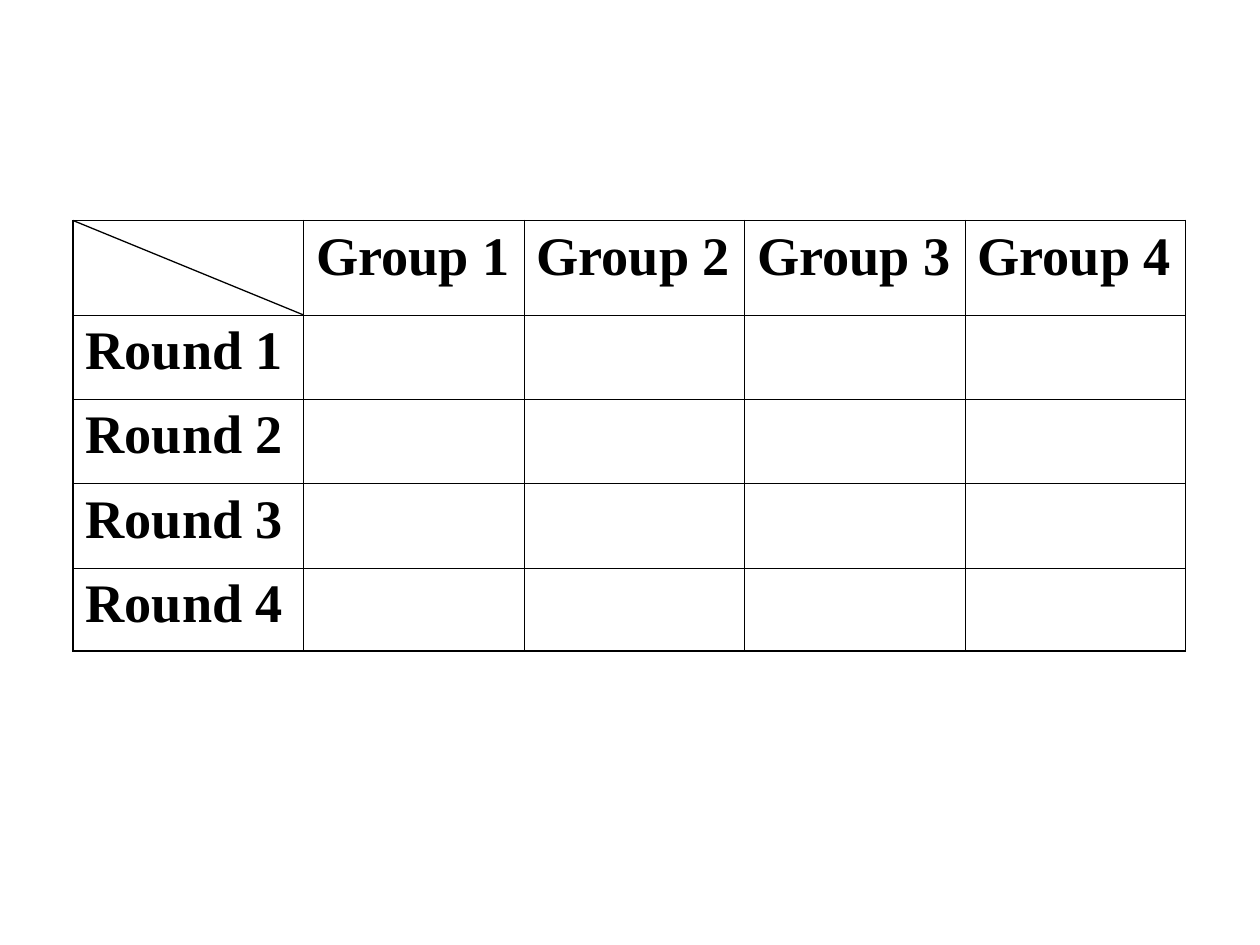
"""Build a slide with a blank score table of four groups by four rounds."""
from lxml import etree
from pptx import Presentation, util as u
from pptx.dml.color import RGBColor
from pptx.enum import shapes
from pptx.oxml import ns

INK = "000000"
THIN, THICK = 0.45, 1.08
LEFT, TOP = 0.58, 1.75
COLS = [1.83] + [1.75] * 4
ROWS = [0.75] + [0.67] * 3 + [0.66]


def write(cell, words, size=31, font="Times New Roman", bold=True, hue=INK):
    run = cell.text_frame.paragraphs[0].add_run()
    run.text = words
    run.font.size = u.Pt(size)
    run.font.name = font
    run.font.bold = bold
    run.font.color.rgb = RGBColor.from_string(hue)


def edge(cell, side, width, hue=INK):
    props = cell._tc.get_or_add_tcPr()
    line = etree.SubElement(props, ns.qn(f"a:ln{side}"), w=str(u.Pt(width)))
    fill = etree.SubElement(line, ns.qn("a:solidFill"))
    etree.SubElement(fill, ns.qn("a:srgbClr"), val=hue)


deck = Presentation()
deck.slide_width, deck.slide_height = u.Inches(10), u.Inches(7.5)
slide = deck.slides.add_slide(deck.slide_layouts[6])

box = [u.Inches(n) for n in (LEFT, TOP, sum(COLS), sum(ROWS))]
table = slide.shapes.add_table(len(ROWS), len(COLS), *box).table
table.first_row = table.horz_banding = False
for col, width in zip(table.columns, COLS):
    col.width = u.Inches(width)
for row, height in zip(table.rows, ROWS):
    row.height = u.Inches(height)

last_row, last_col = len(ROWS) - 1, len(COLS) - 1
for r in range(len(ROWS)):
    for c in range(len(COLS)):
        cell = table.cell(r, c)
        outer = {"L": c == 0, "R": c == last_col, "T": r == 0, "B": r == last_row}
        for side, rim in outer.items():
            edge(cell, side, THICK if rim else THIN)
        cell.fill.background()

for n in range(1, 5):
    write(table.cell(0, n), f"Group {n}")
    write(table.cell(n, 0), f"Round {n}")

ends = [u.Inches(n) for n in (LEFT, TOP, LEFT + COLS[0], TOP + ROWS[0])]
slash = slide.shapes.add_connector(shapes.MSO_CONNECTOR.STRAIGHT, *ends)
slash.line.color.rgb = RGBColor.from_string(INK)
slash.line.width = u.Pt(0.75)
etree.SubElement(slash._element.spPr, ns.qn("a:effectLst"))

deck.save("out.pptx")
